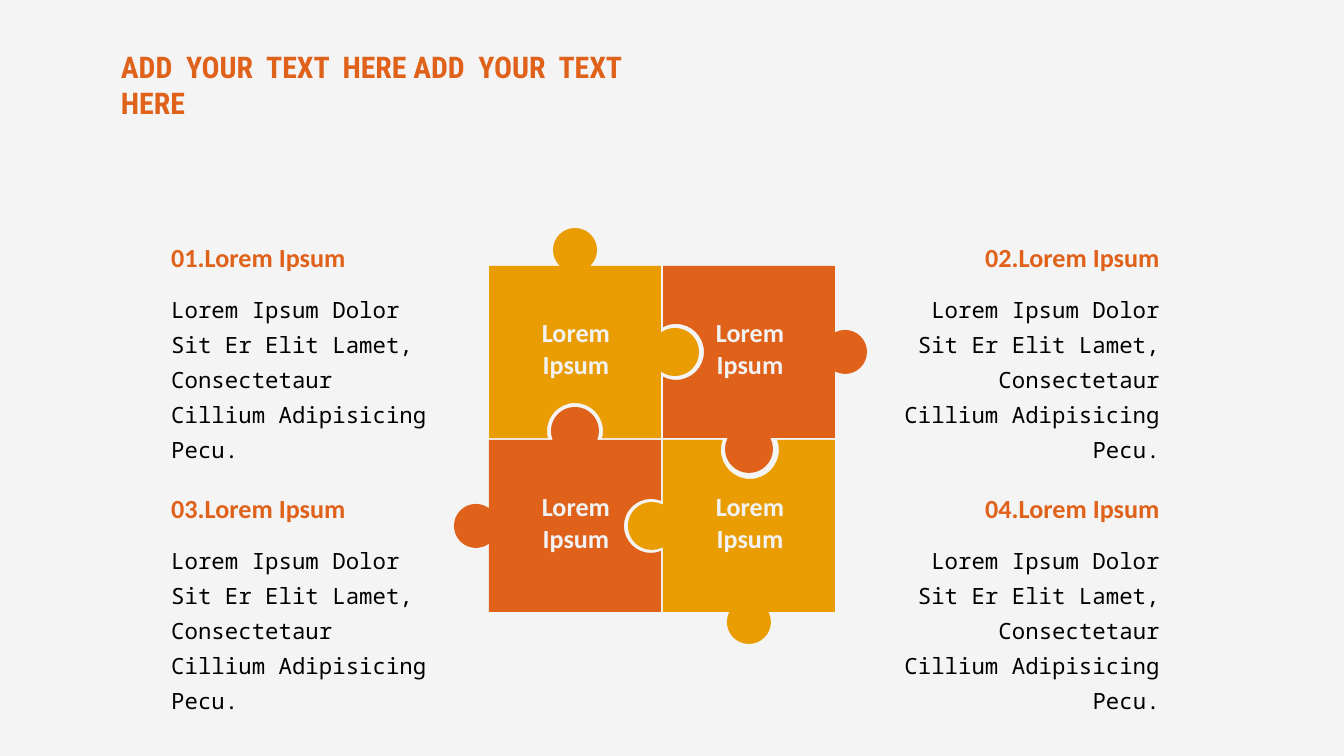
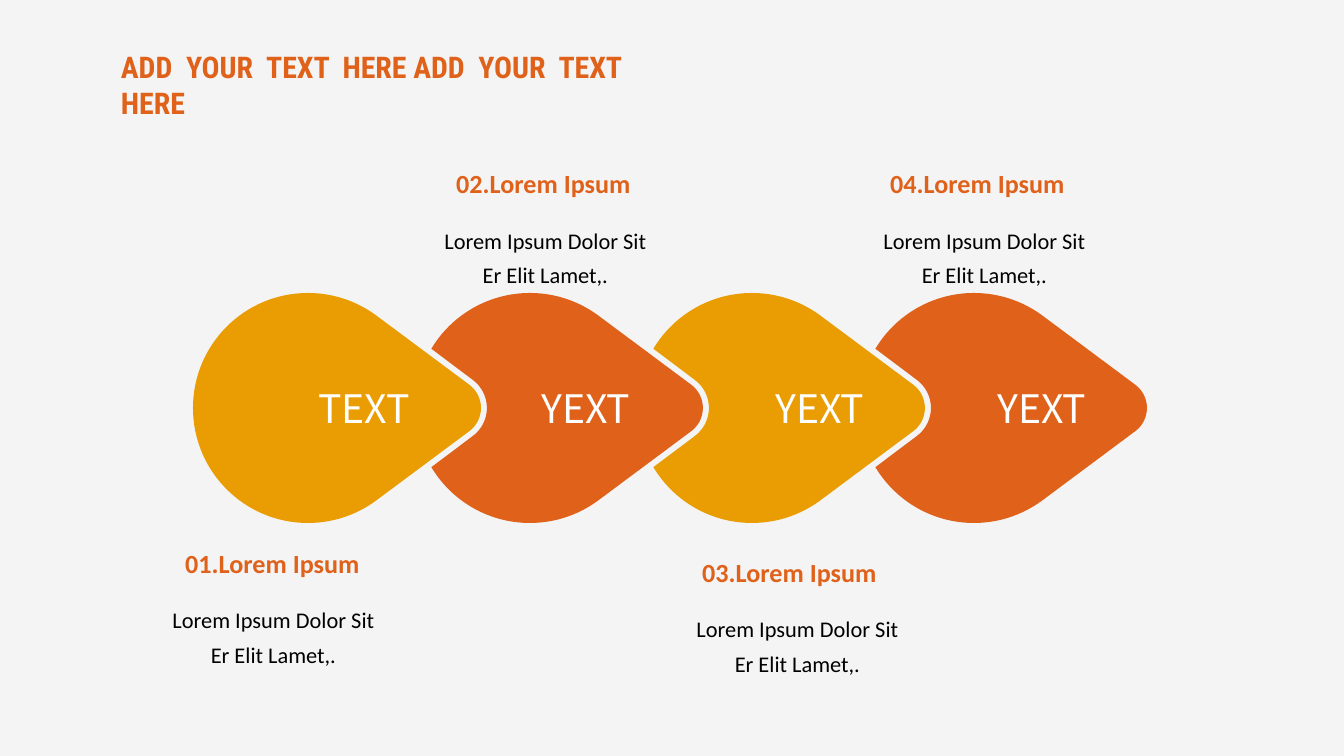
from math import atan2, ceil, copysign, cos, floor, hypot, pi, radians, sin, sqrt, tan

from lxml.etree import SubElement
from pptx import Presentation
from pptx.dml.color import RGBColor
from pptx.enum.shapes import MSO_SHAPE
from pptx.enum.text import MSO_ANCHOR, MSO_AUTO_SIZE, PP_ALIGN
from pptx.oxml.ns import qn
from pptx.util import Emu, Pt

# Shared style: one scale, colours, text styles
SCALE = 914400 / 134.4
WIDTH, HEIGHT = 1344, 756
COLOURS = {
    "gold": "E99D03",
    "orange": "DF611A",
    "pale": "F2F2F2",
    "white": "FFFFFF",
    "black": "000000",
}
# style: font, size, colour, bold
STYLES = {
    "title": ("Roboto Condensed", 16, "orange", True),
    "heading": ("Calibri", 14, "orange", True),
    "mono": ("Noto Sans Mono", 12, "black", False),
    "body": ("Calibri", 12, "black", False),
    "piece": ("Calibri", 14, "pale", True),
    "drop": ("Noto Sans CJK SC", 21, "white", False),
}
TITLE = "ADD  YOUR  TEXT  HERE ADD  YOUR  TEXT  HERE"
LONG_TEXT = "Lorem Ipsum Dolor Sit Er Elit Lamet, Consectetaur Cillium Adipisicing Pecu."
SHORT_TEXT = "Lorem Ipsum Dolor Sit Er Elit Lamet,."

# Puzzle: square size, label offset inside the square
PIECE = 172
LABEL_OFFSET = (13, 44)

# Drops: a body circle and a tip circle joined by tangents
BODY_RADIUS = 115
TIP_RADIUS = 29
TIP_DISTANCE = 144
DROP_PITCH = 222
DROP_GAP = 6
TANGENT = radians(54)
NOTCH_EDGE = radians(149)


def px(value):
    return Emu(round(value * SCALE))


def paint(shape, name):
    shape.shadow.inherit = False
    shape.fill.solid()
    shape.fill.fore_color.rgb = RGBColor.from_string(COLOURS[name])
    shape.line.fill.background()


def add_backdrop(deck, page):
    """Translucent band over the whole page, moved to the slide master."""
    band = page.shapes.add_shape(MSO_SHAPE.RECTANGLE, 0, 0, px(WIDTH), px(HEIGHT))
    paint(band, "pale")
    tint = band.element.find(".//" + qn("a:srgbClr"))
    SubElement(tint, qn("a:alpha")).set("val", "83000")
    band.element.find(".//" + qn("p:cNvPr")).set("id", "20")
    deck.slide_master.shapes.element.insert(2, band.element)


def add_text(page, area, lines, style, align=PP_ALIGN.LEFT, spacing=None,
             insets=None, fixed=False):
    """Text box with one paragraph for each line."""
    box = page.shapes.add_textbox(*map(px, area))
    frame = box.text_frame
    frame.word_wrap = True
    if fixed:
        frame.auto_size = MSO_AUTO_SIZE.NONE
        frame.vertical_anchor = MSO_ANCHOR.MIDDLE
    else:
        frame.auto_size = MSO_AUTO_SIZE.SHAPE_TO_FIT_TEXT
    if insets:
        frame.margin_left = frame.margin_right = px(insets[0])
        frame.margin_top = frame.margin_bottom = px(insets[1])
    font, size, ink, bold = STYLES[style]
    for index, line in enumerate(lines):
        para = frame.add_paragraph() if index else frame.paragraphs[0]
        para.alignment = align
        if spacing:
            para.line_spacing = spacing
        span = para.add_run()
        span.text = line
        span.font.name = font
        span.font.size = Pt(size)
        span.font.bold = bold
        span.font.color.rgb = RGBColor.from_string(COLOURS[ink])


def add_page(deck):
    page = deck.slides.add_slide(deck.slide_layouts[6])
    add_text(page, (112, 44, 556, 47), [TITLE], "title", insets=(9, 5))
    return page


# Outlines: each step is (end,) for a line or (control, control, end) for a curve
def arc(centre, radius, start, sweep):
    """Line to the start of an arc, then curves split at the quarter turns."""
    def at(angle, slope=0.0):
        return (centre[0] + radius * (cos(angle) - slope * sin(angle)),
                centre[1] + radius * (sin(angle) + slope * cos(angle)))

    low, high = sorted((start, start + sweep))
    quarter = pi / 2
    marks = [n * quarter for n in range(ceil(low / quarter), floor(high / quarter) + 1)]
    inner = [mark for mark in marks if low + 0.05 < mark < high - 0.05]
    angles = [low, *inner, high]
    if sweep < 0:
        angles.reverse()
    steps = [(at(start),)]
    for first, last in zip(angles, angles[1:]):
        slope = 4 / 3 * tan((last - first) / 4)
        steps.append((at(first, slope), at(last, -slope), at(last)))
    return steps


def add_outline(page, steps, fill):
    ends = [(px(step[-1][0]), px(step[-1][1])) for step in steps]
    builder = page.shapes.build_freeform(*ends[0], scale=1.0)
    builder.add_line_segments(ends[1:], close=True)
    shape = builder.convert_to_shape()
    paint(shape, fill)
    lines = shape.element.findall(".//" + qn("a:lnTo"))
    for line, step in zip(lines, steps[1:]):
        if len(step) == 3:
            curve = SubElement(line.getparent(), qn("a:cubicBezTo"))
            for x, y in step:
                point = SubElement(curve, qn("a:pt"))
                point.set("x", str(px(x) - shape.left))
                point.set("y", str(px(y) - shape.top))
            line.getparent().replace(line, curve)


# Puzzle pieces
def edge_with_circle(start, end, circle):
    """Edge that detours round the larger arc of a circle."""
    if circle is None:
        return [(start,)]
    x, y, radius = circle
    length = hypot(end[0] - start[0], end[1] - start[1])
    ux, uy = (end[0] - start[0]) / length, (end[1] - start[1]) / length
    along = (x - start[0]) * ux + (y - start[1]) * uy
    foot_x, foot_y = start[0] + along * ux, start[1] + along * uy
    half = sqrt(radius ** 2 - hypot(x - foot_x, y - foot_y) ** 2)
    enter = atan2(foot_y - half * uy - y, foot_x - half * ux - x)
    leave = atan2(foot_y + half * uy - y, foot_x + half * ux - x)
    minor = (leave - enter + pi) % (2 * pi) - pi
    return [(start,)] + arc((x, y), radius, enter, minor - copysign(2 * pi, minor))


def add_piece(page, left, top, fill, circles):
    """Square with knobs or sockets on its top, right, bottom and left edges."""
    right, bottom = left + PIECE, top + PIECE
    corners = [(left, top), (right, top), (right, bottom), (left, bottom)]
    steps = []
    for index, circle in enumerate(circles):
        steps += edge_with_circle(corners[index], corners[(index + 1) % 4], circle)
    add_outline(page, steps, fill)


def build_puzzle_page(deck):
    page = add_page(deck)
    add_backdrop(deck, page)
    # left, top, fill, (x, y, radius) on each edge
    pieces = [
        (663, 440, "gold", [(750, 450, 29), None, (749, 622, 22), (652, 526, 24)]),
        (489, 440, "orange", [(575, 431, 24), (651, 526, 27), None, (476, 526, 22)]),
        (489, 266, "gold", [(575, 250, 22), (675, 352, 24), (575, 431, 28), None]),
        (663, 266, "orange", [None, (845, 352, 22), (749, 449, 24), (676, 352, 28)]),
    ]
    for piece in pieces:
        add_piece(page, *piece)
    for left, top, *_ in pieces:
        area = (left + LABEL_OFFSET[0], top + LABEL_OFFSET[1], 148, 77)
        add_text(page, area, ["Lorem", "Ipsum"], "piece", PP_ALIGN.CENTER)

    # Side notes, two columns by two rows
    columns = [(158, PP_ALIGN.LEFT), (888, PP_ALIGN.RIGHT)]
    for row, top in enumerate((235, 486)):
        for column, (left, align) in enumerate(columns):
            heading = f"{row * 2 + column + 1:02d}.Lorem Ipsum"
            add_text(page, (left, top, 285, 46), [heading], "heading", align)
            add_text(page, (left, top + 47, 285, 120), [LONG_TEXT], "mono", align, 1.3)


# Chain of drops
def add_drop(page, x, y, fill, notched):
    steps = arc((x + TIP_DISTANCE, y), TIP_RADIUS, -TANGENT, 2 * TANGENT)
    if notched:
        side = NOTCH_EDGE - TANGENT
        notch_centre = (x + TIP_DISTANCE - DROP_PITCH, y)
        steps += arc((x, y), BODY_RADIUS, TANGENT, side)
        steps += arc(notch_centre, TIP_RADIUS + DROP_GAP, TANGENT, -2 * TANGENT)
        steps += arc((x, y), BODY_RADIUS, -NOTCH_EDGE, side)
    else:
        steps += arc((x, y), BODY_RADIUS, TANGENT, 2 * (pi - TANGENT))
    add_outline(page, steps, fill)


def build_drop_page(deck):
    page = add_page(deck)
    for index in range(4):
        fill = "orange" if index % 2 else "gold"
        add_drop(page, 308 + index * DROP_PITCH, 408, fill, notched=index > 0)
    labels = [(226, "TEXT"), (448, "YEXT"), (682, "YEXT"), (904, "YEXT")]
    for left, label in labels:
        add_text(page, (left, 382, 276, 51), [label], "drop", PP_ALIGN.CENTER,
                 insets=(0, 0), fixed=True)

    # Notes: heading left, body left, top
    notes = [(172, 151, 541), (443, 423, 161), (689, 675, 550), (877, 862, 161)]
    for number, (heading_left, body_left, top) in enumerate(notes, 1):
        heading = f"{number:02d}.Lorem Ipsum"
        add_text(page, (heading_left, top, 203, 46), [heading], "heading")
        add_text(page, (body_left, top + 51, 245, 85), [SHORT_TEXT], "body",
                 PP_ALIGN.CENTER, 1.3)


def main():
    deck = Presentation()
    deck.slide_width, deck.slide_height = px(WIDTH), px(HEIGHT)
    build_puzzle_page(deck)
    build_drop_page(deck)
    deck.save("out.pptx")


if __name__ == "__main__":
    main()
